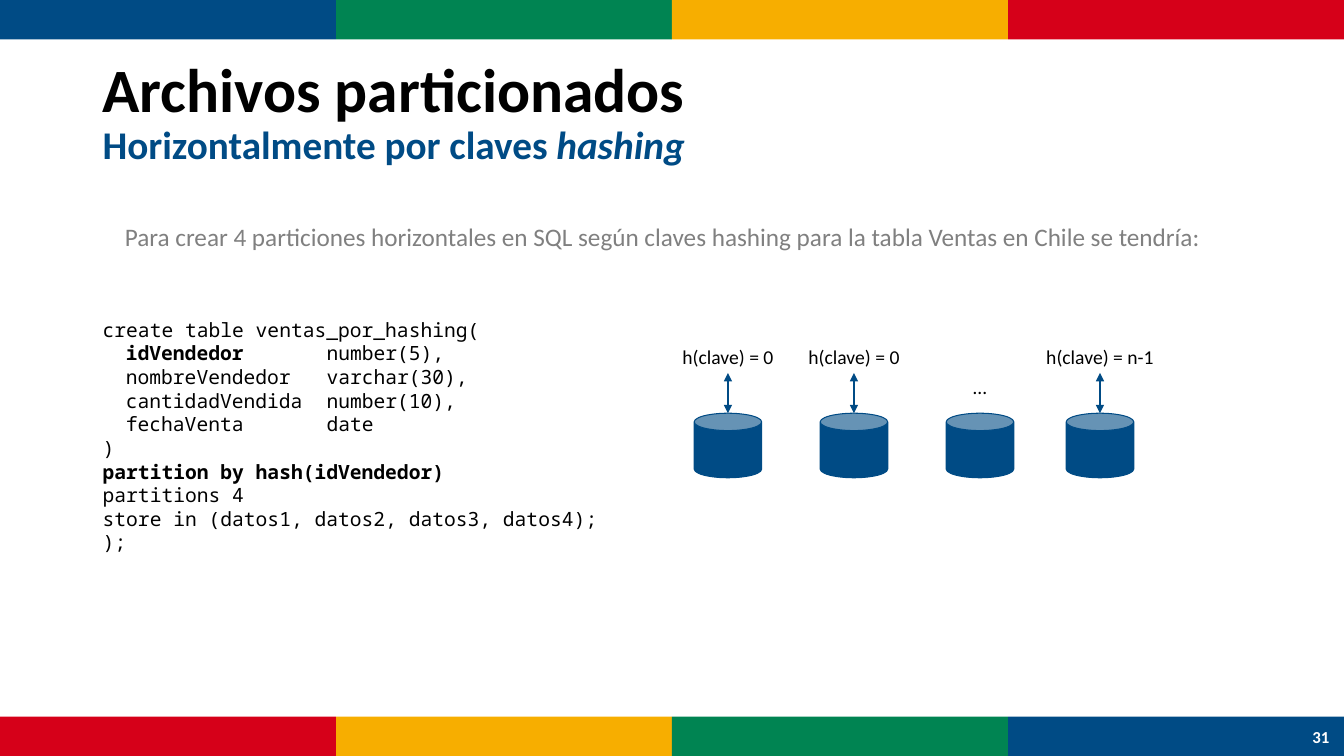
from dataclasses import dataclass

from lxml import etree
from pptx import Presentation
from pptx.dml.color import RGBColor
from pptx.enum.shapes import MSO_CONNECTOR, MSO_SHAPE
from pptx.enum.text import MSO_ANCHOR, PP_ALIGN
from pptx.oxml.ns import qn
from pptx.util import Inches, Pt

BLUE, GREEN, YELLOW, RED = "004B85", "008452", "F7AE00", "D60019"
BLACK, WHITE, GRAY = "000000", "FFFFFF", "808080"
SLIDE_WIDTH, SLIDE_HEIGHT = 13.33, 7.5
STRIPE_HEIGHT = 0.39
CODE_TABS = (0.23, 2.22)


@dataclass(frozen=True)
class Run:
    text: str
    bold: bool = False
    italic: bool = False
    size: float | None = None
    color: str | None = None


@dataclass(frozen=True)
class Partition:
    center: float
    label: str
    label_top: float = 3.37
    has_arrow: bool = True


CODE = [
    [Run("create table ventas_por_hashing(")],
    [Run("\t"), Run("idVendedor", bold=True), Run("\tnumber(5),")],
    [Run("\tnombreVendedor\tvarchar(30),")],
    [Run("\tcantidadVendida\tnumber(10),")],
    [Run("\tfechaVenta\tdate")],
    [Run(")")],
    [Run("partition by hash(idVendedor)", bold=True)],
    [Run("partitions 4")],
    [Run("store in (datos1, datos2, datos3, datos4);")],
    [Run(");")],
]

PARTITIONS = [
    Partition(7.22, "h(clave) = 0"),
    Partition(8.47, "h(clave) = 0"),
    Partition(9.72, "…", label_top=3.67, has_arrow=False),
    Partition(10.91, "h(clave) = n-1"),
]


def rgb(color: str) -> RGBColor:
    return RGBColor.from_string(color)


def add_text(slide, left: float, top: float, width: float, height: float,
             paragraphs: list[list[Run]], *, size: float, color: str = BLACK,
             font: str = "Calibri", align=PP_ALIGN.LEFT, anchor=MSO_ANCHOR.TOP,
             wrap: bool = True, line_spacing=None, tabs=()) -> None:
    """Add a text box; a vertical tab inside a run breaks the line."""
    frame = slide.shapes.add_textbox(
        Inches(left), Inches(top), Inches(width), Inches(height)).text_frame
    frame.word_wrap = wrap
    frame.vertical_anchor = anchor
    for index, runs in enumerate(paragraphs):
        paragraph = frame.add_paragraph() if index else frame.paragraphs[0]
        paragraph.alignment = align
        if line_spacing is not None:
            paragraph.line_spacing = line_spacing
        if tabs:
            set_tab_stops(paragraph, tabs)
        for part in runs:
            for number, piece in enumerate(part.text.split("\v")):
                if number:
                    paragraph.add_line_break()
                if not piece:
                    continue
                run = paragraph.add_run()
                run.text = piece
                run.font.name = font
                run.font.size = Pt(part.size or size)
                run.font.bold = part.bold
                run.font.italic = part.italic
                run.font.color.rgb = rgb(part.color or color)


def set_tab_stops(paragraph, positions: tuple[float, ...]) -> None:
    stops = etree.SubElement(paragraph._p.get_or_add_pPr(), qn("a:tabLst"))
    for position in positions:
        etree.SubElement(stops, qn("a:tab"), pos=str(Inches(position)), algn="l")


def add_filled(slide, kind, left: float, top: float, width: float,
               height: float, color: str):
    shape = slide.shapes.add_shape(
        kind, Inches(left), Inches(top), Inches(width), Inches(height))
    shape.shadow.inherit = False
    shape.fill.solid()
    shape.fill.fore_color.rgb = rgb(color)
    shape.line.fill.background()
    return shape


def add_stripe(slide, top: float, colors: list[str]) -> None:
    width = SLIDE_WIDTH / len(colors)
    for column, color in enumerate(colors):
        add_filled(slide, MSO_SHAPE.RECTANGLE, column * width, top,
                   width, STRIPE_HEIGHT, color)


def add_double_arrow(slide, x: float, top: float, bottom: float) -> None:
    arrow = slide.shapes.add_connector(
        MSO_CONNECTOR.STRAIGHT, Inches(x), Inches(top), Inches(x), Inches(bottom))
    arrow.line.color.rgb = rgb(BLUE)
    arrow.line.width = Pt(1.5)
    outline = arrow.line._get_or_add_ln()
    for end in ("a:headEnd", "a:tailEnd"):
        etree.SubElement(outline, qn(end), type="triangle")
    etree.SubElement(arrow._element.spPr, qn("a:effectLst"))


def add_partition(slide, partition: Partition) -> None:
    width, label_width = 0.67, 1.28
    cylinder = add_filled(slide, MSO_SHAPE.CAN, partition.center - width / 2,
                          4.1, width, 0.64, BLUE)
    cylinder.adjustments[0] = 0.269
    cylinder.line.color.rgb = rgb(BLUE)
    cylinder.line.width = Pt(0.75)
    add_text(slide, partition.center - label_width / 2, partition.label_top,
             label_width, 0.34, [[Run(partition.label)]], size=14,
             align=PP_ALIGN.CENTER, wrap=False)
    if partition.has_arrow:
        add_double_arrow(slide, partition.center, 3.7, 4.1)


def main() -> None:
    presentation = Presentation()
    presentation.slide_width = Inches(SLIDE_WIDTH)
    presentation.slide_height = Inches(SLIDE_HEIGHT)
    slide = presentation.slides.add_slide(presentation.slide_layouts[6])

    stripe_colors = [BLUE, GREEN, YELLOW, RED]
    add_stripe(slide, 0, stripe_colors)
    add_stripe(slide, SLIDE_HEIGHT - STRIPE_HEIGHT, stripe_colors[::-1])

    title = [Run("Archivos particionados\v", bold=True),
             Run("Horizontalmente por claves ", bold=True, size=28, color=BLUE),
             Run("hashing", bold=True, italic=True, size=28, color=BLUE)]
    add_text(slide, 0.92, 0.4, 11.5, 1.45, [title], size=44,
             anchor=MSO_ANCHOR.MIDDLE, line_spacing=0.9)
    add_text(slide, 12.87, 7.11, 0.46, 0.4, [[Run("31", bold=True)]], size=12,
             color=WHITE, align=PP_ALIGN.CENTER, anchor=MSO_ANCHOR.MIDDLE)
    add_text(slide, 1.14, 2.15, 11.4, 0.4,
             [[Run("Para crear 4 particiones horizontales en SQL según claves "
                   "hashing para la tabla Ventas en Chile se tendría:")]],
             size=18, color=GRAY)
    add_text(slide, 0.92, 3.1, 5.29, 2.46, CODE, size=14, font="Noto Sans Mono",
             align=PP_ALIGN.JUSTIFY, line_spacing=Pt(16.9), tabs=CODE_TABS)
    for partition in PARTITIONS:
        add_partition(slide, partition)

    presentation.save("out.pptx")


if __name__ == "__main__":
    main()
